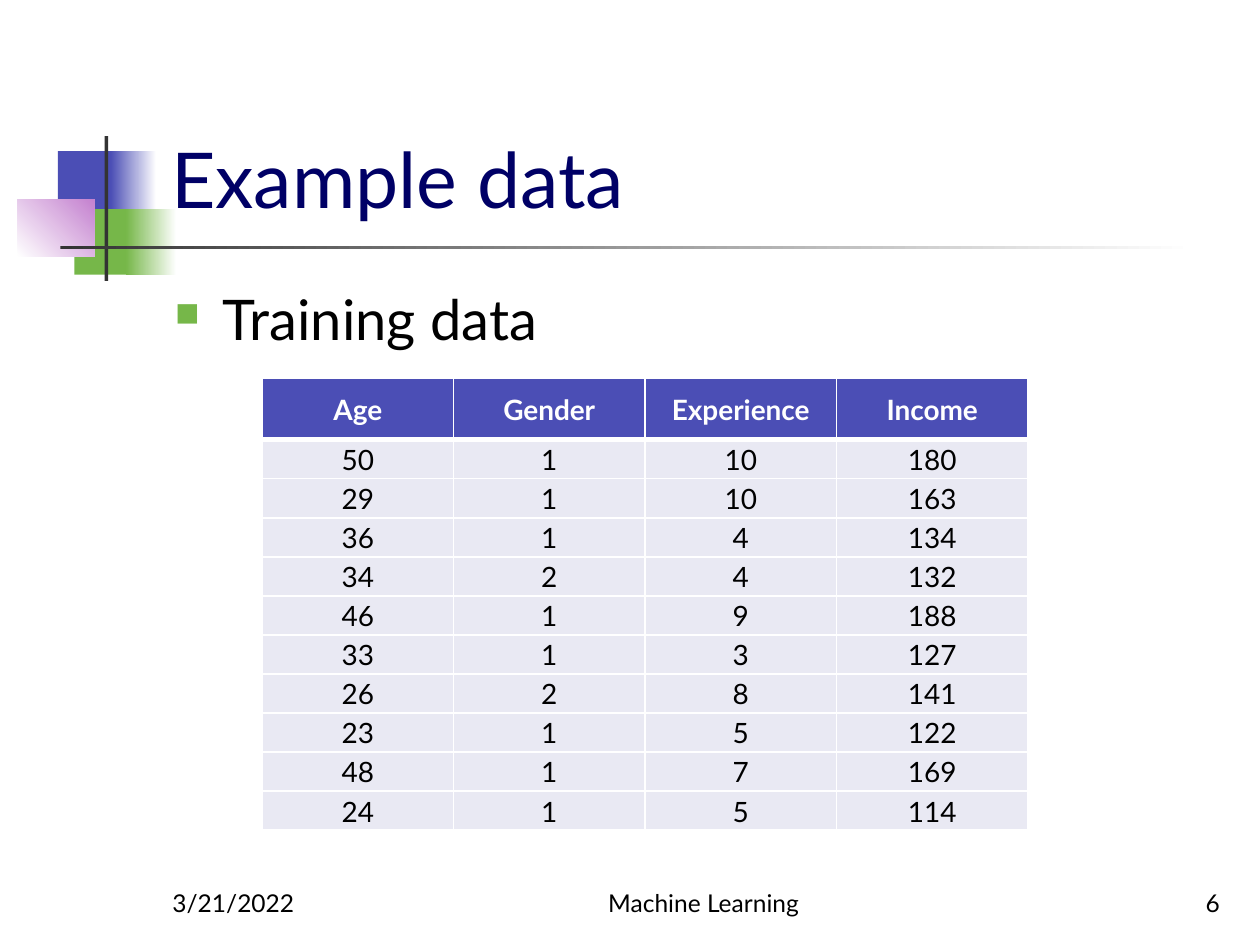
"""Build the "Example data" slide with its training data table."""
from lxml import etree
from pptx import Presentation
from pptx.dml.color import RGBColor
from pptx.enum import shapes, text
from pptx.oxml import ns
from pptx.util import Inches, Pt

BLUE, GREEN, PINK, GREY, WHITE = "4B4EB5", "76B749", "C481CF", "333333", "FFFFFF"
LEFT, CENTER, RIGHT = text.PP_ALIGN.LEFT, text.PP_ALIGN.CENTER, text.PP_ALIGN.RIGHT
TOP, MIDDLE, BOTTOM = text.MSO_ANCHOR.TOP, text.MSO_ANCHOR.MIDDLE, text.MSO_ANCHOR.BOTTOM


def rgb(color):
    return RGBColor.from_string(color)


def write(tf, content, size=14, color="000000", bold=False, align=LEFT):
    p = tf.paragraphs[0]
    p.alignment = align
    r = p.add_run()
    r.text = content
    r.font.name = "Lato"
    r.font.size = Pt(size)
    r.font.bold = bold
    r.font.color.rgb = rgb(color)
    return p


prs = Presentation()
prs.slide_width, prs.slide_height = Inches(10), Inches(7.5)
s = prs.slides.add_slide(prs.slide_layouts[6])

decorations = [
    ((0.46, 1.2, 0.48, 0.52), BLUE, None, 0),
    ((0.88, 1.2, 0.36, 0.52), BLUE, WHITE, 0),
    ((0.59, 1.66, 0.46, 0.52), GREEN, None, 0),
    ((1, 1.66, 0.4, 0.52), GREEN, WHITE, 0),
    ((0.14, 1.58, 0.61, 0.46), WHITE, PINK, 45),
    ((0.83, 1.08, 0.03, 1.15), GREY, None, 0),
    ((0.48, 1.95, 9, 0.03), GREY, WHITE, 0),
]
for box, start, end, angle in decorations:
    sp = s.shapes.add_shape(shapes.MSO_SHAPE.RECTANGLE, *map(Inches, box))
    sp.shadow.inherit = False
    sp.line.fill.background()
    if end:
        sp.fill.gradient()
        sp.fill.gradient_angle = angle
        for stop, color in zip(sp.fill.gradient_stops, (start, end)):
            stop.color.rgb = rgb(color)
    else:
        sp.fill.solid()
        sp.fill.fore_color.rgb = rgb(start)

texts = [
    ((1.26, 0.23, 8.52, 1.6), BOTTOM, "Example data", dict(size=44, color="000066")),
    ((1.29, 2.21, 8.5, 0.7), TOP, "Training data", dict(size=32)),
    ((1.27, 6.83, 2.08, 0.5), BOTTOM, "3/21/2022", {}),
    ((4, 6.83, 3.17, 0.5), BOTTOM, "Machine Learning", dict(align=CENTER)),
    ((7.7, 6.83, 2.08, 0.5), BOTTOM, "6", dict(align=RIGHT)),
]
for box, anchor, content, style in texts:
    tf = s.shapes.add_textbox(*map(Inches, box)).text_frame
    tf.word_wrap = True
    tf.vertical_anchor = anchor
    p = write(tf, content, **style)
    if content == "Training data":
        pPr = p._p.get_or_add_pPr()
        pPr.set("marL", str(Inches(0.38)))
        pPr.set("indent", str(-Inches(0.38)))
        bullet_color = etree.SubElement(pPr, ns.qn("a:buClr"))
        etree.SubElement(bullet_color, ns.qn("a:srgbClr"), val=GREEN)
        etree.SubElement(pPr, ns.qn("a:buSzPct"), val="60000")
        etree.SubElement(pPr, ns.qn("a:buChar"), char="■")

rows = [
    ("Age", "Gender", "Experience", "Income"),
    (50, 1, 10, 180),
    (29, 1, 10, 163),
    (36, 1, 4, 134),
    (34, 2, 4, 132),
    (46, 1, 9, 188),
    (33, 1, 3, 127),
    (26, 2, 8, 141),
    (23, 1, 5, 122),
    (48, 1, 7, 169),
    (24, 1, 5, 114),
]
table = s.shapes.add_table(len(rows), len(rows[0]), Inches(2.08), Inches(3),
                           Inches(6.08), Inches(3.58)).table
table.horz_banding = False
for column in table.columns:
    column.width = Inches(1.52)
for i, values in enumerate(rows):
    header = i == 0
    table.rows[i].height = Inches(0.49 if header else 0.31)
    for j, value in enumerate(values):
        cell = table.cell(i, j)
        cell.vertical_anchor = MIDDLE
        cell.margin_left = cell.margin_right = cell.margin_top = Inches(0.01)
        cell.margin_bottom = 0
        write(cell.text_frame, str(value), size=16, bold=header, align=CENTER,
              color=WHITE if header else "000000")
        tcPr = cell._tc.get_or_add_tcPr()
        for side in "LRTB":
            thick = (i, side) in ((0, "B"), (1, "T"))
            ln = etree.SubElement(tcPr, ns.qn(f"a:ln{side}"), w=str(Pt(3 if thick else 1)))
            fill = etree.SubElement(ln, ns.qn("a:solidFill"))
            etree.SubElement(fill, ns.qn("a:srgbClr"), val=WHITE)
        cell.fill.solid()
        cell.fill.fore_color.rgb = rgb(BLUE if header else "E9E9F3")

prs.save("out.pptx")
